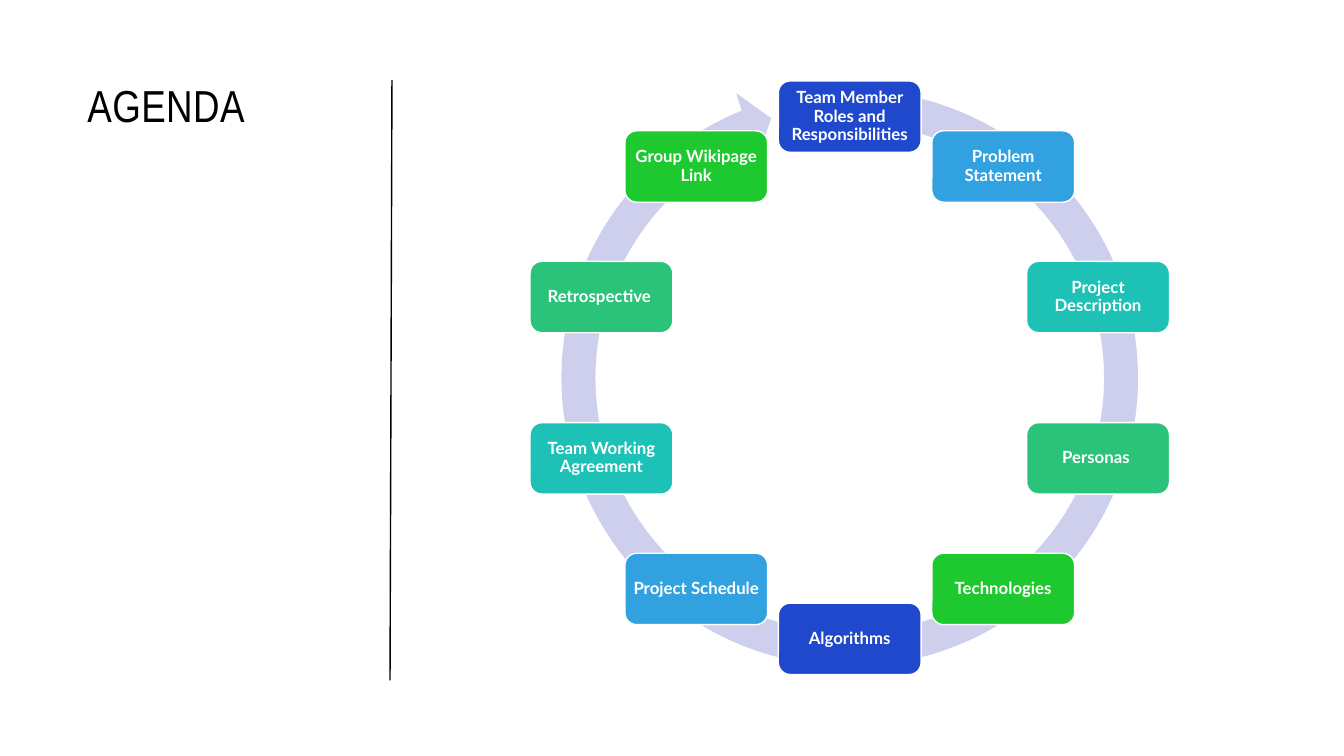
"""Build the agenda slide: a title, a divider and a ring of ten topics."""
from math import cos, radians, sin

from lxml import etree
from pptx import Presentation
from pptx.dml.color import RGBColor
from pptx.enum.shapes import MSO_CONNECTOR, MSO_SHAPE
from pptx.enum.text import MSO_ANCHOR, PP_ALIGN
from pptx.oxml.ns import qn
from pptx.util import Pt

RING = MSO_SHAPE.CIRCULAR_ARROW
CARD = MSO_SHAPE.ROUNDED_RECTANGLE
STRAIGHT = MSO_CONNECTOR.STRAIGHT
MIDDLE = MSO_ANCHOR.MIDDLE
CENTER = PP_ALIGN.CENTER

BLACK = RGBColor(0x00, 0x00, 0x00)
WHITE = RGBColor(0xFF, 0xFF, 0xFF)
LILAC = RGBColor(0xCD, 0xCF, 0xED)
BLUE = RGBColor(0x1F, 0x48, 0xCD)
SKY = RGBColor(0x31, 0xA2, 0xDF)
TEAL = RGBColor(0x1D, 0xC1, 0xB6)
JADE = RGBColor(0x2B, 0xC3, 0x79)
GREEN = RGBColor(0x1E, 0xC8, 0x2F)

TITLE = "AGENDA"
TOPICS = [
    "Team Member Roles and Responsibilities",
    "Problem Statement",
    "Project Description",
    "Personas ",
    "Technologies",
    "Algorithms",
    "Project Schedule",
    "Team Working Agreement",
    "Retrospective ",
    "Group Wikipage Link",
]
FILLS = [BLUE, SKY, TEAL, JADE, GREEN]
ARROW = [5.54, 330.7, 14859.1, 16756, 5.76]

MID_X, MID_Y, RADIUS = 607, 269.8, 186.5
RING_TOP, RING_SIZE = 51, 438
CARD_W, CARD_H = 102, 51


def add_title(slide):
    box = slide.shapes.add_textbox(Pt(55.4), Pt(48.2), Pt(199), Pt(353.5))
    box.text_frame.word_wrap = True
    para = box.text_frame.paragraphs[0]
    run = para.add_run()
    run.text = TITLE
    para.line_spacing = 1.1
    para.font.name = "Arial Narrow"
    para.font.size = Pt(32)
    para.font.color.rgb = BLACK
    run.font._element.set("spc", "30")


def add_rule(slide):
    rule = slide.shapes.add_connector(
        STRAIGHT, Pt(278.6), Pt(486), Pt(280), Pt(57))
    rule.line.color.rgb = BLACK
    rule.line.width = Pt(1)
    etree.SubElement(rule._element.spPr, qn("a:effectLst"))


def add_shape(slide, kind, left, top, width, height, fill):
    shape = slide.shapes.add_shape(
        kind, Pt(left), Pt(top), Pt(width), Pt(height))
    shape.shadow.inherit = False
    shape.fill.solid()
    shape.fill.fore_color.rgb = fill
    return shape


def add_ring(slide):
    ring = add_shape(slide, RING, MID_X - RING_SIZE / 2, RING_TOP,
                     RING_SIZE, RING_SIZE, LILAC)
    ring.line.fill.background()
    for i, value in enumerate(ARROW):
        ring.adjustments[i] = value / 100


def add_card(slide, i, topic):
    turn = radians(360 / len(TOPICS) * i)
    left = MID_X + RADIUS * sin(turn) - CARD_W / 2
    top = MID_Y - RADIUS * cos(turn) - CARD_H / 2
    card = add_shape(slide, CARD, left, top, CARD_W, CARD_H,
                     FILLS[i % len(FILLS)])
    card.line.color.rgb = WHITE
    card.line.width = Pt(1)
    frame = card.text_frame
    frame.word_wrap = True
    frame.vertical_anchor = MIDDLE
    frame.margin_left = frame.margin_right = Pt(3.6)
    frame.margin_top = frame.margin_bottom = Pt(3.6)
    frame.text = topic
    para = frame.paragraphs[0]
    para.alignment = CENTER
    para.line_spacing = 0.9
    para.font.name = "Lato"
    para.font.size = Pt(12)
    para.font.bold = True
    para.font.color.rgb = WHITE


def main():
    deck = Presentation()
    deck.slide_width, deck.slide_height = Pt(960), Pt(540)
    slide = deck.slides.add_slide(deck.slide_layouts[6])
    add_title(slide)
    add_rule(slide)
    add_ring(slide)
    for i, topic in enumerate(TOPICS):
        add_card(slide, i, topic)
    deck.save("out.pptx")


if __name__ == "__main__":
    main()
